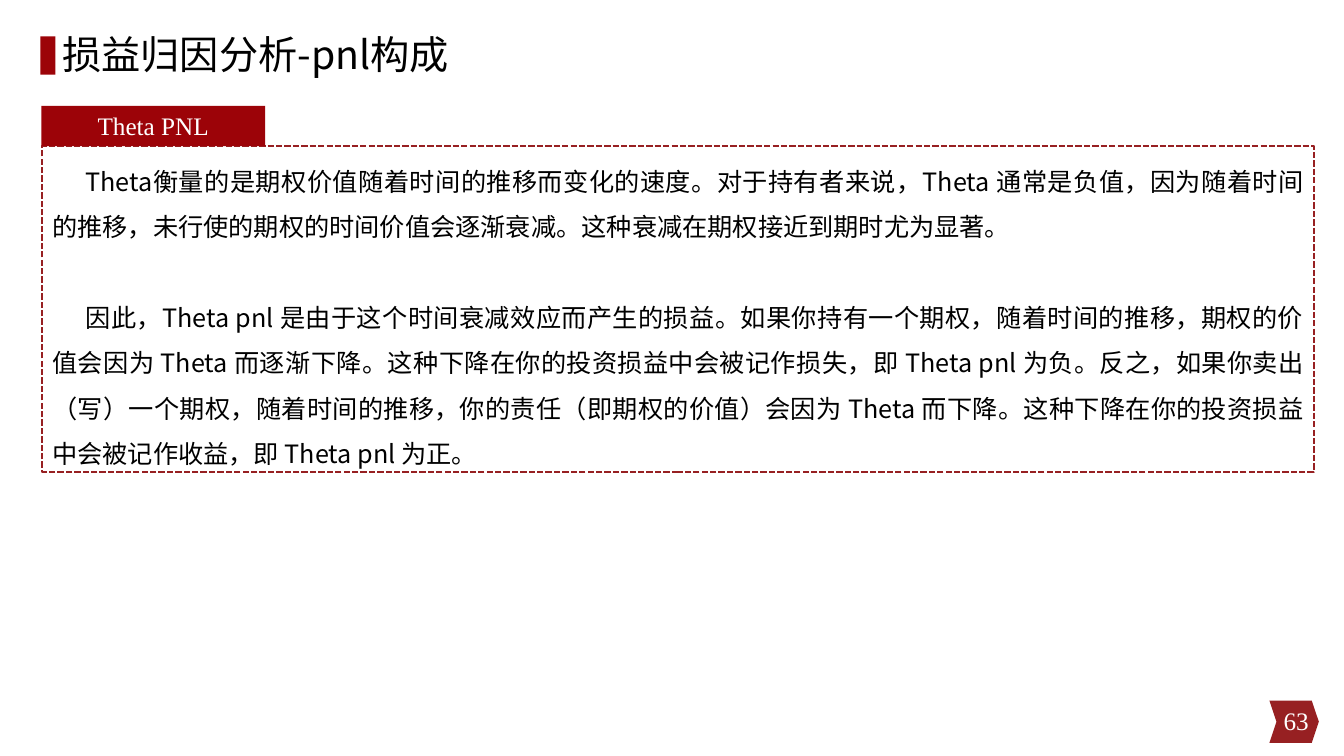
from lxml import etree
from pptx import Presentation
from pptx.dml.color import RGBColor
from pptx.enum import dml, shapes, text
from pptx.oxml.ns import qn
from pptx.util import Inches, Pt

COLOURS = {"red": "9C0308", "dark_red": "972022", "black": "000000", "white": "FFFFFF"}
SANS, SERIF = "Noto Sans CJK SC", "Times New Roman"
LEFT, BODY_TOP = 0.41, 1.45
TAB_HEIGHT = 0.4
BODY = [
    "Theta衡量的是期权价值随着时间的推移而变化的速度。对于持有者来说，Theta 通常是负值，"
    "因为随着时间的推移，未行使的期权的时间价值会逐渐衰减。这种衰减在期权接近到期时尤为显著。",
    "因此，Theta pnl 是由于这个时间衰减效应而产生的损益。如果你持有一个期权，随着时间的推移，"
    "期权的价值会因为 Theta 而逐渐下降。这种下降在你的投资损益中会被记作损失，即 Theta pnl 为负。"
    "反之，如果你卖出（写）一个期权，随着时间的推移，你的责任（即期权的价值）会因为 Theta 而下降。"
    "这种下降在你的投资损益中会被记作收益，即 Theta pnl 为正。",
]


def add_block(kind, box, fill=None):
    """Add a shape without outline or shadow, filled only if a colour is named."""
    shape = slide.shapes.add_shape(kind, *map(Inches, box))
    shape.shadow.inherit = False
    shape.line.fill.background()
    if fill:
        shape.fill.solid()
        shape.fill.fore_color.rgb = RGBColor.from_string(COLOURS[fill])
    else:
        shape.fill.background()
    return shape


def format_paragraph(paragraph, size, face, colour, alignment):
    """Set the font for Latin and East Asian text alike, and the alignment."""
    paragraph.alignment = alignment
    font = paragraph.font
    font.size = Pt(size)
    font.name = face
    font.color.rgb = RGBColor.from_string(COLOURS[colour])
    latin = paragraph._p.pPr.find(qn("a:defRPr")).find(qn("a:latin"))
    east_asian = etree.Element(qn("a:ea"), typeface=face)
    latin.addnext(east_asian)


presentation = Presentation()
presentation.slide_width, presentation.slide_height = Inches(13.33), Inches(7.5)
slide = presentation.slides.add_slide(presentation.slide_layouts[5])

# Page number on its chevron
chevron = add_block(shapes.MSO_SHAPE.CHEVRON, (12.59, 6.95, 0.49, 0.42), "dark_red")
chevron.adjustments[0] = 0.167
number = slide.shapes.add_textbox(*map(Inches, (10.08, 6.95, 3, 0.4))).text_frame
number.word_wrap = True
number.vertical_anchor = text.MSO_ANCHOR.MIDDLE
number.text = "63"
format_paragraph(number.paragraphs[0], 18, SERIF, "white", text.PP_ALIGN.RIGHT)

# Title with its red bar
add_block(shapes.MSO_SHAPE.RECTANGLE, (0.4, 0.36, 0.15, 0.38), "red")
title = slide.shapes.title
title.left, title.top, title.width, title.height = map(Inches, (0.52, -0.02, 11.31, 1.17))
title.text_frame.text = "损益归因分析-pnl构成"
title.text_frame.vertical_anchor = text.MSO_ANCHOR.MIDDLE
title.text_frame.auto_size = text.MSO_AUTO_SIZE.NONE
title.text_frame.paragraphs[0].line_spacing = 0.9
format_paragraph(title.text_frame.paragraphs[0], 28, SANS, "black", text.PP_ALIGN.LEFT)

# Dashed explanation box
panel = add_block(shapes.MSO_SHAPE.RECTANGLE, (LEFT + 0.01, BODY_TOP, 12.61, 3.23))
panel.line.color.rgb = RGBColor.from_string(COLOURS["dark_red"])
panel.line.width = Pt(1.5)
panel.line.dash_style = dml.MSO_LINE.SQUARE_DOT
frame = panel.text_frame
frame.word_wrap = True
frame.vertical_anchor = text.MSO_ANCHOR.TOP
for index, wording in enumerate(BODY):
    paragraph = frame.paragraphs[0] if index == 0 else frame.add_paragraph()
    paragraph.text = wording
    paragraph.line_spacing = 1.5
    if index:
        paragraph.space_before = Pt(32.4)
    format_paragraph(paragraph, 18, SANS, "black", text.PP_ALIGN.JUSTIFY)
    paragraph._p.pPr.set("indent", str(Inches(0.33)))

# Heading tab on top of the box
tab = add_block(shapes.MSO_SHAPE.RECTANGLE, (LEFT, BODY_TOP - TAB_HEIGHT, 2.22, TAB_HEIGHT), "red")
tab.text_frame.text = "Theta PNL"
tab.text_frame.vertical_anchor = text.MSO_ANCHOR.TOP
format_paragraph(tab.text_frame.paragraphs[0], 18, SERIF, "white", text.PP_ALIGN.CENTER)

presentation.save("out.pptx")
